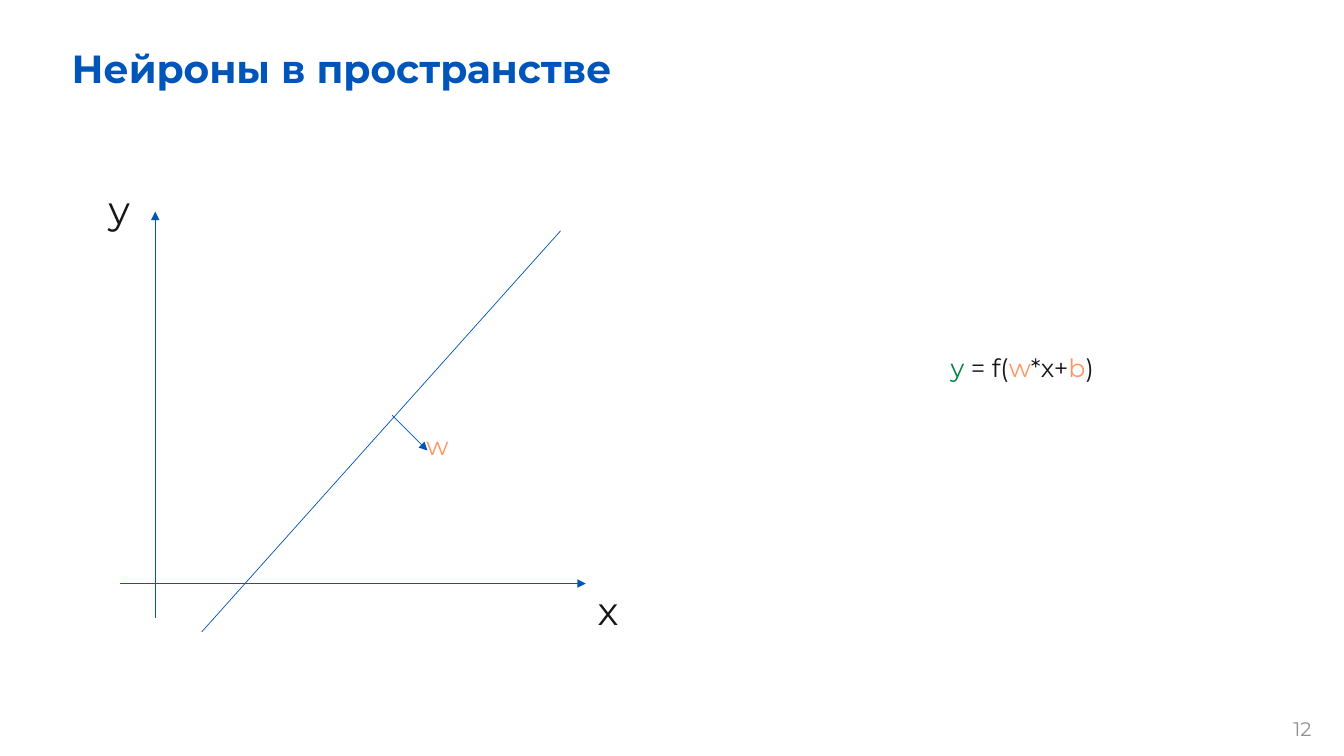
from dataclasses import dataclass

from lxml.etree import SubElement
from pptx import Presentation
from pptx.dml.color import RGBColor
from pptx.enum.text import MSO_ANCHOR, PP_ALIGN
from pptx.oxml.ns import qn
from pptx.util import Inches, Pt


@dataclass(frozen=True)
class Theme:
    font: str = "Montserrat"
    blue: str = "0055BB"
    green: str = "00843C"
    coral: str = "FF9666"
    dark: str = "171616"
    gray: str = "8F9092"
    big: int = 28
    body: int = 18
    small: int = 14
    line: float = 0.5


theme = Theme()


def write(shape, runs, box, size, bold=False, wrap=True, anchor=MSO_ANCHOR.TOP):
    """Place a text shape and fill it with (text, colour) runs."""
    shape.left, shape.top, shape.width, shape.height = map(Inches, box)
    frame = shape.text_frame
    frame.word_wrap = wrap
    frame.vertical_anchor = anchor
    par = frame.paragraphs[0]
    par.alignment = PP_ALIGN.LEFT
    for text, color in runs:
        run = par.add_run()
        run.text = text
        run.font.name = theme.font
        run.font.size = Pt(size)
        run.font.bold = bold
        run.font.color.rgb = RGBColor.from_string(color)


deck = Presentation()
deck.slide_width, deck.slide_height = Inches(13.33), Inches(7.5)
slide = deck.slides.add_slide(deck.slide_layouts[5])
shapes = slide.shapes

write(shapes.title, [("Нейроны в пространстве", theme.blue)],
      (0.61, 0.39, 10.06, 0.57), theme.big, bold=True, anchor=MSO_ANCHOR.MIDDLE)

# Axes, dividing line and its normal vector: start, end, arrowhead
lines = [
    ((1.54, 6.13), (1.54, 2.1), True),
    ((1.19, 5.79), (5.81, 5.79), True),
    ((2, 6.27), (5.56, 2.29), False),
    ((3.89, 4.12), (4.24, 4.47), True),
]
for start, end, arrow in lines:
    link = shapes.add_connector(1, *map(Inches, start + end))
    link.line.color.rgb = RGBColor.from_string(theme.blue)
    link.line.width = Pt(theme.line)
    if arrow:
        SubElement(link.line._get_or_add_ln(), qn("a:tailEnd"), type="triangle")
    SubElement(link._element.spPr, qn("a:effectLst"))

formula = [
    ("y", theme.green), (" = f(", theme.dark), ("w", theme.coral),
    ("*x+", theme.dark), ("b", theme.coral), (")", theme.dark),
]
labels = [
    (formula, (9.33, 3.45, 2.21, 0.4), theme.body, True),
    ([("w", theme.coral)], (4.13, 4.22, 2.21, 0.4), theme.body, True),
    ([("y", theme.dark)], (0.98, 1.79, 0.41, 0.57), theme.big, False),
    ([("x", theme.dark)], (5.83, 5.77, 0.41, 0.57), theme.big, False),
    ([("12", theme.gray)], (12.73, 7.06, 0.45, 0.34), theme.small, False),
]
for runs, box, size, wrap in labels:
    write(shapes.add_textbox(0, 0, 0, 0), runs, box, size, wrap=wrap)

deck.save("out.pptx")
